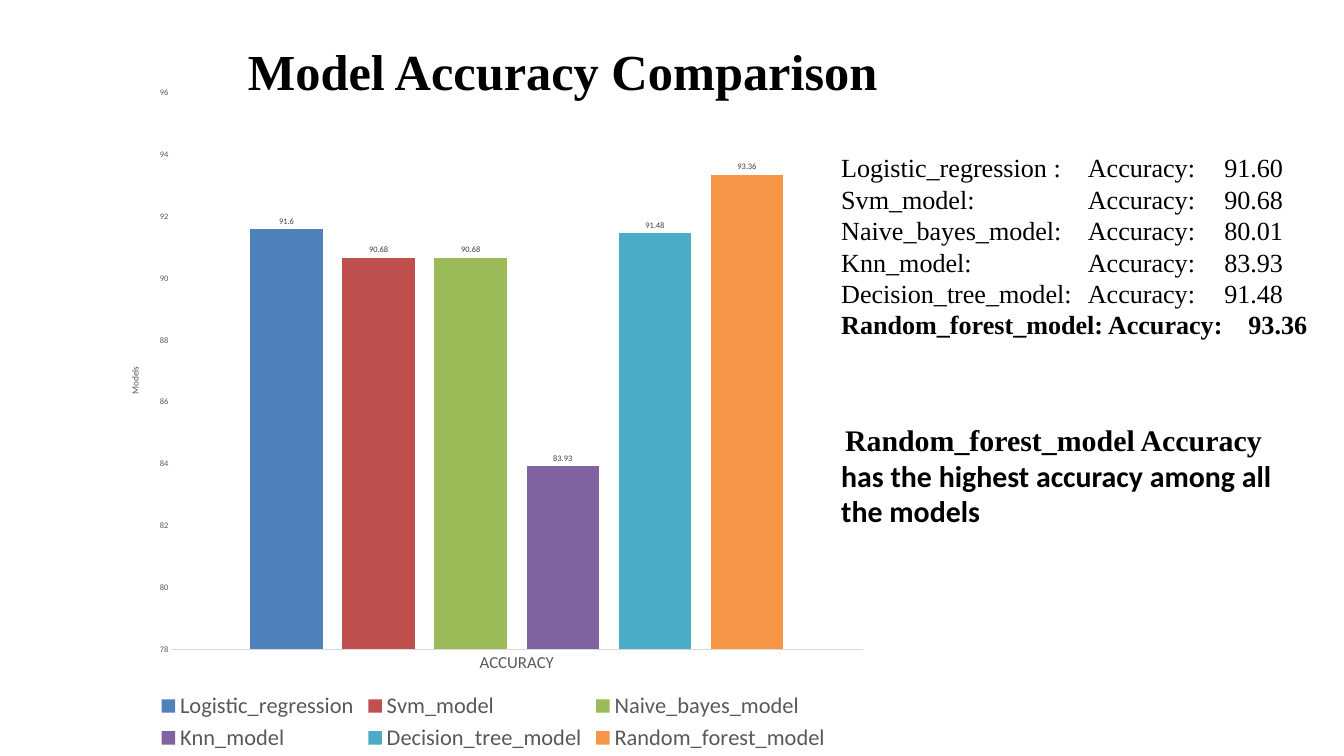
"""Build a slide comparing the accuracy of six classification models."""
import lxml.etree
import pptx
import pptx.chart.data
import pptx.dml.color
import pptx.enum.chart
import pptx.enum.text
import pptx.oxml
import pptx.oxml.ns
import pptx.util

Inches = pptx.util.Inches
RGBColor = pptx.dml.color.RGBColor

BLACK = RGBColor(0x00, 0x00, 0x00)
LABEL_GRAY = RGBColor(0x40, 0x40, 0x40)
AXIS_GRAY = RGBColor(0x59, 0x59, 0x59)
LINE_GRAY = RGBColor(0xD9, 0xD9, 0xD9)
BLUE = RGBColor(0x4F, 0x81, 0xBD)
RED = RGBColor(0xC0, 0x50, 0x4D)
GREEN = RGBColor(0x9B, 0xBB, 0x59)
PURPLE = RGBColor(0x80, 0x64, 0xA2)
TEAL = RGBColor(0x4B, 0xAC, 0xC6)
ORANGE = RGBColor(0xF7, 0x96, 0x46)

SERIF = "Times New Roman"
SANS = "Calibri"

TITLE = "Model Accuracy Comparison"
CATEGORY = "ACCURACY"
AXIS_TITLE = "Models"
SERIES = [
    ("Logistic_regression", 91.6, BLUE),
    ("Svm_model", 90.68, RED),
    ("Naive_bayes_model", 90.68, GREEN),
    ("Knn_model", 83.93, PURPLE),
    ("Decision_tree_model", 91.48, TEAL),
    ("Random_forest_model", 93.36, ORANGE),
]
SCORES = [
    ("Logistic_regression :", "91.60"),
    ("Svm_model:", "90.68"),
    ("Naive_bayes_model:", "80.01"),
    ("Knn_model:", "83.93"),
    ("Decision_tree_model:", "91.48"),
    ("Random_forest_model:", "93.36"),
]
BEST_SCORE = SCORES[-1]
CONCLUSION = [
    (" ", 18, SANS, False),
    ("Random_forest_model Accuracy ", 32, SERIF, True),
    ("has the highest accuracy among all the models", 32, SANS, True),
]
SCORE_TABS = (3.67, 5.7)
BEST_TABS = (3.97, 6.06)
PLOT_AREA = {"x": 0.103, "y": 0.079, "w": 0.852, "h": 0.773}


def style_font(font, size, name, color, bold=False):
    font.size = pptx.util.Pt(size)
    font.name = name
    font.bold = bold
    font.color.rgb = color


def add_text_frame(slide, left, top, width, height):
    box = slide.shapes.add_textbox(Inches(left), Inches(top), Inches(width), Inches(height))
    box.text_frame.word_wrap = True
    return box.text_frame


def add_run(paragraph, text, size, name, bold):
    run = paragraph.add_run()
    run.text = text
    style_font(run.font, size, name, BLACK, bold)


def set_tabs(paragraph, positions):
    properties = paragraph._p.get_or_add_pPr()
    tabs = lxml.etree.SubElement(properties, pptx.oxml.ns.qn("a:tabLst"))
    for position in positions:
        tab = lxml.etree.SubElement(tabs, pptx.oxml.ns.qn("a:tab"))
        tab.set("pos", str(Inches(position)))
        tab.set("algn", "l")


def place_plot(chart):
    plot_area = chart._chartSpace.chart.plotArea
    for layout in plot_area.findall(pptx.oxml.ns.qn("c:layout")):
        plot_area.remove(layout)
    settings = {"layoutTarget": "inner", "xMode": "edge", "yMode": "edge", **PLOT_AREA}
    layout = lxml.etree.Element(pptx.oxml.ns.qn("c:layout"))
    manual = lxml.etree.SubElement(layout, pptx.oxml.ns.qn("c:manualLayout"))
    for tag, value in settings.items():
        lxml.etree.SubElement(manual, pptx.oxml.ns.qn(f"c:{tag}")).set("val", str(value))
    plot_area.insert(0, layout)


def style_axes(chart):
    tick_mark = pptx.enum.chart.XL_TICK_MARK
    for axis, size in ((chart.category_axis, 18), (chart.value_axis, 9)):
        axis.has_major_gridlines = False
        axis.major_tick_mark = tick_mark.NONE
        axis.minor_tick_mark = tick_mark.NONE
        style_font(axis.tick_labels.font, size, SANS, AXIS_GRAY)
    chart.category_axis.format.line.color.rgb = LINE_GRAY
    chart.category_axis.format.line.width = pptx.util.Pt(0.75)
    value_axis = chart.value_axis
    value_axis.format.line.fill.background()
    value_axis.minimum_scale = 78
    value_axis.maximum_scale = 96
    value_axis.major_unit = 2
    paragraph = value_axis.axis_title.text_frame.paragraphs[0]
    run = paragraph.add_run()
    run.text = AXIS_TITLE
    style_font(run.font, 10, SANS, AXIS_GRAY)


def add_accuracy_chart(slide):
    chart_data = pptx.chart.data.CategoryChartData()
    chart_data.categories = [CATEGORY]
    for name, value, _ in SERIES:
        chart_data.add_series(name, [value])
    chart = slide.shapes.add_chart(
        pptx.enum.chart.XL_CHART_TYPE.COLUMN_CLUSTERED,
        Inches(1.3), Inches(0.54), Inches(12.08), Inches(10.71), chart_data,
    ).chart
    style_font(chart.font, 10, SANS, BLACK)
    chart.has_title = False
    chart.has_legend = True
    chart.legend.position = pptx.enum.chart.XL_LEGEND_POSITION.BOTTOM
    chart.legend.include_in_layout = False
    style_font(chart.legend.font, 24, SANS, AXIS_GRAY)
    style_axes(chart)
    plot = chart.plots[0]
    plot.gap_width = 219
    plot.overlap = -27
    plot.vary_by_categories = False
    for series, (_, _, color) in zip(plot.series, SERIES):
        series.format.fill.solid()
        series.format.fill.fore_color.rgb = color
        labels = series.data_labels
        labels.show_value = True
        labels.position = pptx.enum.chart.XL_LABEL_POSITION.OUTSIDE_END
        style_font(labels.font, 9, SANS, LABEL_GRAY)
    place_plot(chart)


def add_scores(slide):
    frame = add_text_frame(slide, 12.42, 2.21, 7.33, 4.14)
    for index, score in enumerate(SCORES):
        paragraph = frame.add_paragraph() if index else frame.paragraphs[0]
        best = score == BEST_SCORE
        set_tabs(paragraph, BEST_TABS if best else SCORE_TABS)
        name, value = score
        add_run(paragraph, f"{name}\tAccuracy:\t{value}", 28, SERIF, best)


def add_title(slide):
    paragraph = add_text_frame(slide, 2.75, 0.54, 11.25, 1.31).paragraphs[0]
    paragraph.alignment = pptx.enum.text.PP_ALIGN.CENTER
    add_run(paragraph, TITLE, 54, SERIF, True)


def add_conclusion(slide):
    paragraph = add_text_frame(slide, 12.42, 6.22, 7, 1.72).paragraphs[0]
    for text, size, name, bold in CONCLUSION:
        add_run(paragraph, text, size, name, bold)


def main():
    presentation = pptx.Presentation()
    presentation.slide_width = Inches(20)
    presentation.slide_height = Inches(11.25)
    slide = presentation.slides.add_slide(presentation.slide_layouts[6])
    add_accuracy_chart(slide)
    add_scores(slide)
    add_title(slide)
    add_conclusion(slide)
    presentation.save("out.pptx")


if __name__ == "__main__":
    main()
